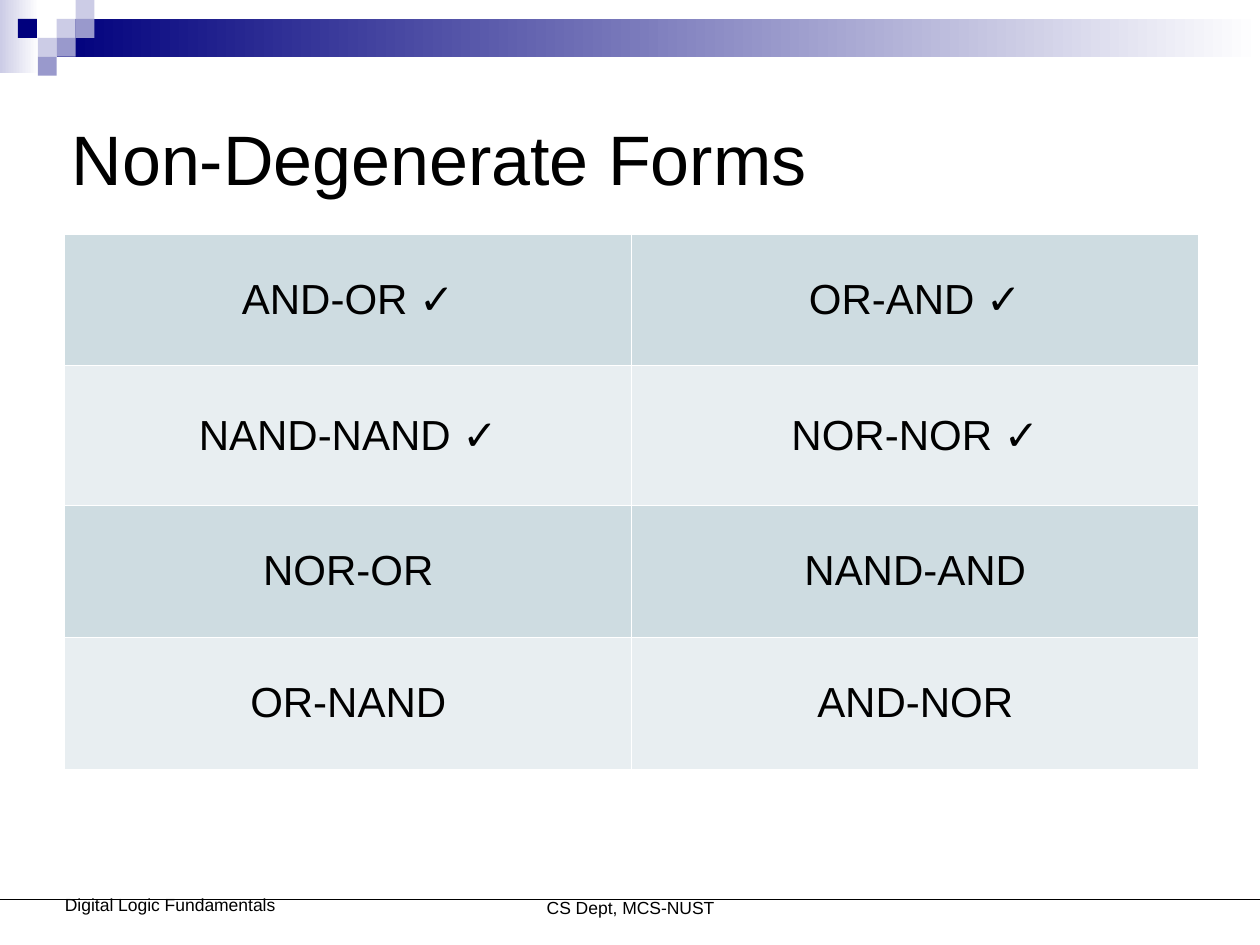
from pptx import Presentation
from pptx.dml.color import RGBColor
from pptx.enum.shapes import MSO_CONNECTOR, MSO_SHAPE
from pptx.enum.text import MSO_ANCHOR, PP_ALIGN
from pptx.oxml import parse_xml
from pptx.oxml.ns import nsdecls
from pptx.util import Pt
from lxml.etree import SubElement


def rgb(value):
    return RGBColor.from_string(value)


def style(tf, text, size, align):
    tf.text = text
    tf.word_wrap = True
    p = tf.paragraphs[0]
    p.alignment = align
    for r in p.runs:
        r.font.name = "Arial"
        r.font.size = Pt(size)
        r.font.color.rgb = rgb("000000")


prs = Presentation()
prs.slide_width, prs.slide_height = Pt(720), Pt(540)
s = prs.slides.add_slide(prs.slide_layouts[6])

for left, top, width, height, color in [
    (0, 0, 22.3, 41.8, "CCCCE6"),
    (32.4, 10.8, 687.6, 21.6, "00007D"),
]:
    sp = s.shapes.add_shape(MSO_SHAPE.RECTANGLE, Pt(left), Pt(top), Pt(width), Pt(height))
    sp.shadow.inherit = False
    sp.line.fill.background()
    sp.fill.gradient()
    sp.fill.gradient_angle = 0
    for stop, value in zip(sp.fill.gradient_stops, (color, "FFFFFF")):
        stop.color.rgb = rgb(value)

side = 10.8
for col, row, color in [
    (3, 1, "CCCCE6"),
    (4, 0, "CCCCE6"),
    (4, 1, "9999CC"),
    (2, 2, "CCCCE6"),
    (0.95, 1, "00007D"),
    (3, 2, "9999CC"),
    (2, 3, "9999CC"),
]:
    sp = s.shapes.add_shape(MSO_SHAPE.RECTANGLE, Pt(col * side), Pt(row * side), Pt(side), Pt(side))
    sp.shadow.inherit = False
    sp.line.fill.background()
    sp.fill.solid()
    sp.fill.fore_color.rgb = rgb(color)

for text, left, top, width in [
    ("CS Dept, MCS-NUST", 210.2, 493.2, 300.2),
    ("Digital Logic Fundamentals", 25.2, 491.8, 144),
]:
    tf = s.shapes.add_textbox(Pt(left), Pt(top), Pt(width), Pt(36)).text_frame
    tf.margin_top = Pt(26.6)
    tf.margin_bottom = 0
    style(tf, text, 10, PP_ALIGN.CENTER)

line = s.shapes.add_connector(MSO_CONNECTOR.STRAIGHT, 0, Pt(514), Pt(720), Pt(514))
line.line.color.rgb = rgb("000000")
line.line.width = Pt(0.75)
SubElement(line.element.spPr, "{http://schemas.openxmlformats.org/drawingml/2006/main}effectLst")

tf = s.shapes.add_textbox(Pt(36), Pt(36), Pt(648), Pt(108)).text_frame
tf.vertical_anchor = MSO_ANCHOR.MIDDLE
tf.margin_left = Pt(5)
style(tf, "Non-Degenerate Forms", 40, PP_ALIGN.LEFT)

forms = [
    ("AND-OR ✓", "OR-AND ✓"),
    ("NAND-NAND ✓", "NOR-NOR ✓"),
    ("NOR-OR", "NAND-AND"),
    ("OR-NAND", "AND-NOR"),
]
heights = [75, 80, 75, 75.5]
table = s.shapes.add_table(4, 2, Pt(37), Pt(134), Pt(648), Pt(sum(heights))).table
table.first_row = False
for col in table.columns:
    col.width = Pt(324)
for i, (row, height) in enumerate(zip(forms, heights)):
    table.rows[i].height = Pt(height)
    for j, text in enumerate(row):
        cell = table.cell(i, j)
        cell.vertical_anchor = MSO_ANCHOR.MIDDLE
        style(cell.text_frame, text, 24, PP_ALIGN.CENTER)
        tcPr = cell._tc.get_or_add_tcPr()
        for edge in ("lnL", "lnR", "lnT", "lnB"):
            tcPr.append(parse_xml(
                f'<a:{edge} {nsdecls("a")} w="{Pt(0.45)}"><a:solidFill>'
                f'<a:srgbClr val="FFFFFF"/></a:solidFill></a:{edge}>'
            ))
        cell.fill.solid()
        cell.fill.fore_color.rgb = rgb(("CEDCE1", "E8EEF1")[i % 2])

prs.save("out.pptx")
